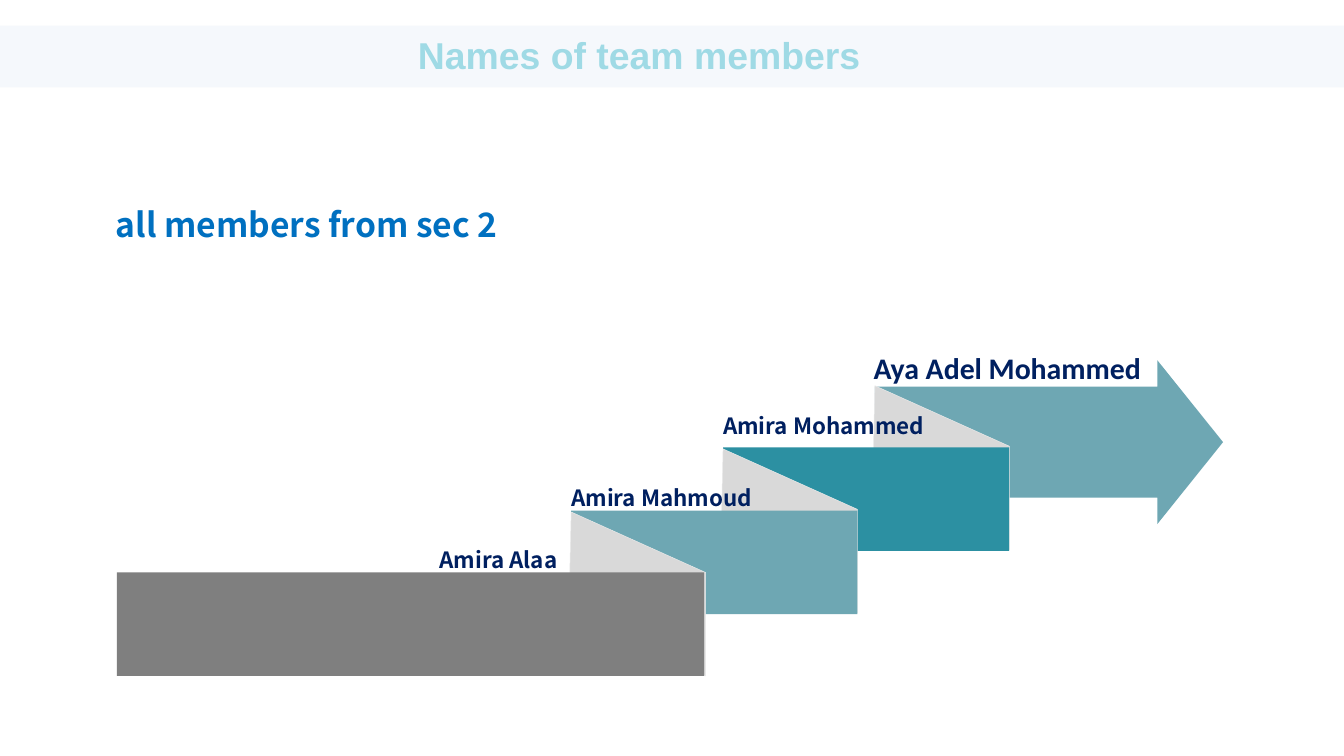
"""Build the team members slide with its folded steps and arrow."""
import dataclasses

import lxml.etree
import pptx
import pptx.dml.color
import pptx.enum.shapes
import pptx.enum.text
import pptx.oxml.ns
import pptx.util

Inches = pptx.util.Inches
Pt = pptx.util.Pt
KINDS = pptx.enum.shapes.MSO_SHAPE
ANCHOR = pptx.enum.text.MSO_ANCHOR
HUES = {
    "band": "F5F8FC", "title": "9FDAE5", "edge": "2C90A2", "pale": "6EA7B3",
    "deep": "2C90A2", "gray": "7F7F7F", "fold": "D9D9D9", "rim": "EAEAEA",
    "name": "002060", "note": "0070C0",
}
NOTO = "Noto Sans CJK SC"
FOLD = [(0.01, 0), (1.01, 0.45), (1.01, 1.22), (0, 0.84), (0, 0.42)]
RUN, RISE = 1.13, 0.47


@dataclasses.dataclass
class Block:
    left: float
    top: float
    width: float
    height: float
    hue: str
    kind: int = KINDS.RECTANGLE


@dataclasses.dataclass
class Label:
    text: str
    left: float
    top: float
    width: float
    height: float
    size: float = 12
    face: str = NOTO
    hue: str = "name"
    pads: tuple = (0, 0, 0.09, 0)
    anchor: int = ANCHOR.MIDDLE
    space: float = 1.2


BLOCKS = [
    Block(6.51, 2.68, 2.59, 1.22, "pale", KINDS.RIGHT_ARROW),
    Block(5.38, 3.33, 2.13, 0.77, "deep"),
    Block(4.25, 3.8, 2.13, 0.77, "pale"),
    Block(0.87, 4.26, 4.37, 0.77, "gray"),
]
TITLE = Label("Names of team members", 3.11, 0.24, 4.76, 0.34, 20, "Arial",
              "title", (0, 0, 0, 0), ANCHOR.TOP, 1)
LABELS = [
    Label("Aya Adel Mohammed", 6.5, 2.55, 2.5, 0.32, 16, "Calibri"),
    Label("Amira Mohammed", 5.38, 3.03, 1.71, 0.24),
    Label("Amira Mahmoud", 4.25, 3.56, 1.87, 0.24),
    Label("Amira Alaa", 3.27, 4.02, 1.67, 0.24),
    Label("all members from sec 2", 0.79, 1.48, 8.52, 0.38, 18, NOTO, "note",
          (0.07, 0.04, 0.07, 0.04), ANCHOR.TOP, 1),
]


def tint(name: str) -> pptx.dml.color.RGBColor:
    return pptx.dml.color.RGBColor.from_string(HUES[name])


def paint(shape, hue: str) -> None:
    shape.shadow.inherit = False
    shape.fill.solid()
    shape.fill.fore_color.rgb = tint(hue)
    shape.line.fill.background()


def draw_block(slide, block: Block):
    shape = slide.shapes.add_shape(
        block.kind, Inches(block.left), Inches(block.top),
        Inches(block.width), Inches(block.height))
    paint(shape, block.hue)
    if block.kind == KINDS.RIGHT_ARROW:
        shape.adjustments[0] = 0.677
        shape.adjustments[1] = 0.401
    return shape


def draw_fold(slide, left: float, top: float) -> None:
    spots = [(Inches(left + x), Inches(top + y)) for x, y in FOLD]
    pen = slide.shapes.build_freeform(*spots[0])
    pen.add_line_segments(spots[1:], close=True)
    shape = pen.convert_to_shape()
    paint(shape, "fold")
    shape.line.color.rgb = tint("rim")
    shape.line.width = Pt(0.25)


def write(box, label: Label) -> None:
    box.left, box.top = Inches(label.left), Inches(label.top)
    box.width, box.height = Inches(label.width), Inches(label.height)
    frame = box.text_frame
    frame.text = label.text
    frame.word_wrap = True
    frame.auto_size = pptx.enum.text.MSO_AUTO_SIZE.SHAPE_TO_FIT_TEXT
    frame.vertical_anchor = label.anchor
    (frame.margin_left, frame.margin_top,
     frame.margin_right, frame.margin_bottom) = map(Inches, label.pads)
    line = frame.paragraphs[0]
    line.alignment = pptx.enum.text.PP_ALIGN.LEFT
    line.line_spacing = label.space
    line.font.name = label.face
    line.font.size = Pt(label.size)
    line.font.bold = True
    line.font.color.rgb = tint(label.hue)


def outline(box, hue: str, width: float) -> None:
    mark = pptx.oxml.ns.qn
    props = box.element.find(".//" + mark("a:defRPr"))
    edge = lxml.etree.Element(mark("a:ln"), w=str(Pt(width)))
    fill = lxml.etree.SubElement(edge, mark("a:solidFill"))
    lxml.etree.SubElement(fill, mark("a:srgbClr"), val=HUES[hue])
    props.insert(0, edge)


def main() -> None:
    deck = pptx.Presentation()
    deck.slide_width = Inches(10)
    deck.slide_height = deck.slide_width * 9 // 16
    slide = deck.slides.add_slide(deck.slide_layouts[5])
    title = slide.shapes.title
    band = draw_block(slide, Block(0, 0.19, 10, 0.46, "band"))
    title.element.addprevious(band.element)
    write(title, TITLE)
    outline(title, "edge", 1.75)
    for rank, block in enumerate(BLOCKS):
        if rank:
            draw_fold(slide, 6.5 - RUN * (rank - 1),
                      2.87 + RISE * (rank - 1))
        draw_block(slide, block)
    for label in LABELS:
        write(slide.shapes.add_textbox(0, 0, 0, 0), label)
    deck.save("out.pptx")


if __name__ == "__main__":
    main()
